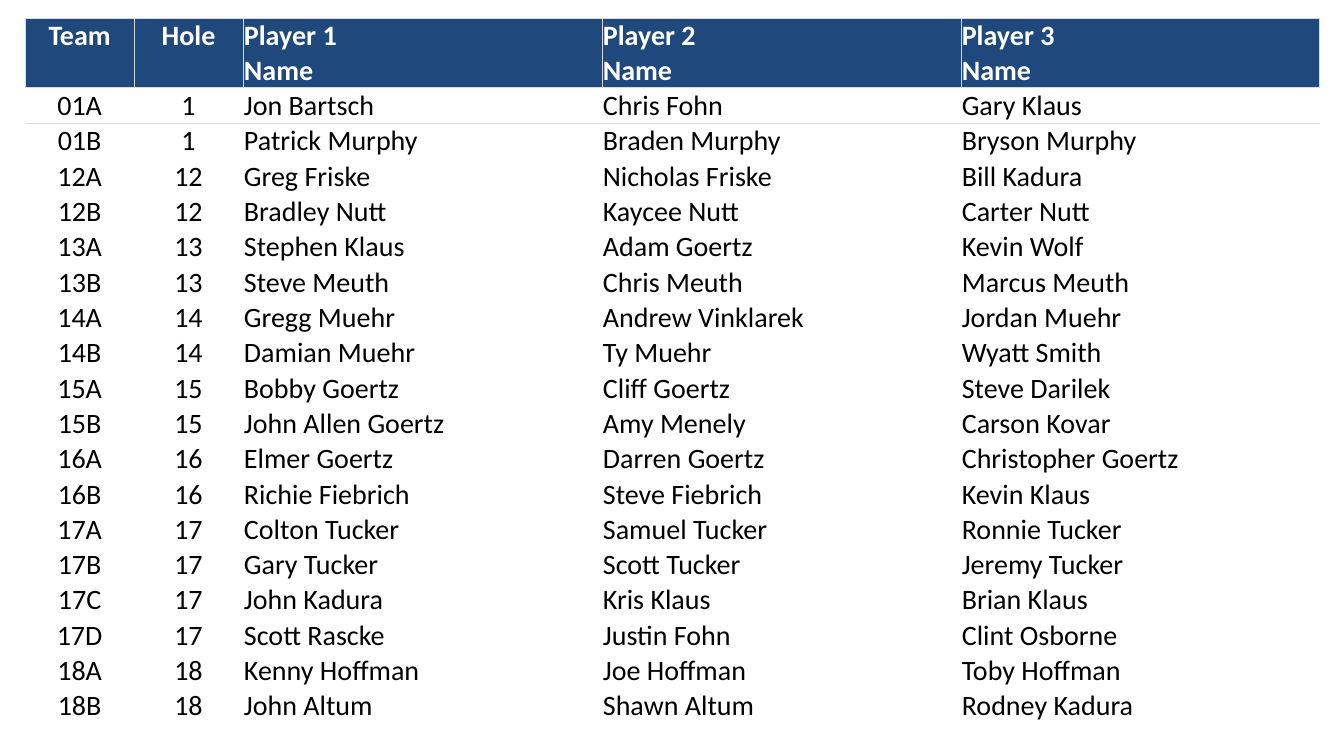
from dataclasses import dataclass

from lxml import etree
from pptx import Presentation
from pptx.dml.color import RGBColor
from pptx.enum.text import MSO_ANCHOR, PP_ALIGN
from pptx.oxml.ns import qn
from pptx.util import Inches, Pt

TOP, BOTTOM = MSO_ANCHOR.TOP, MSO_ANCHOR.BOTTOM
LEFT, CENTER = PP_ALIGN.LEFT, PP_ALIGN.CENTER
PLAIN_TABLE_STYLE = "{2D5ABB26-0587-4C30-8999-92F81FD0307C}"
ALL_SIDES = ("lnL", "lnR", "lnT", "lnB")
TOP_SIDE = ("lnT",)


@dataclass(frozen=True)
class Theme:
    font: str = "Calibri"
    size: int = 20
    header_fill: str = "1F497D"
    header_text: str = "FFFFFF"
    body_text: str = "000000"
    border: str = "D9D9D9"
    border_width: float = 0.5
    inset: float = 0.01


HEADINGS = ["Team", "Hole"] + [f"Player {number}\nName" for number in (1, 2, 3)]
TEAMS = [
    ("01A", "Jon Bartsch", "Chris Fohn", "Gary Klaus"),
    ("01B", "Patrick Murphy", "Braden Murphy", "Bryson Murphy"),
    ("12A", "Greg Friske", "Nicholas Friske", "Bill Kadura"),
    ("12B", "Bradley Nutt", "Kaycee Nutt", "Carter Nutt"),
    ("13A", "Stephen Klaus", "Adam Goertz", "Kevin Wolf"),
    ("13B", "Steve Meuth", "Chris Meuth", "Marcus Meuth"),
    ("14A", "Gregg Muehr", "Andrew Vinklarek", "Jordan Muehr"),
    ("14B", "Damian Muehr", "Ty Muehr", "Wyatt Smith"),
    ("15A", "Bobby Goertz", "Cliff Goertz", "Steve Darilek"),
    ("15B", "John Allen Goertz", "Amy Menely", "Carson Kovar"),
    ("16A", "Elmer Goertz", "Darren Goertz", "Christopher Goertz"),
    ("16B", "Richie Fiebrich", "Steve Fiebrich", "Kevin Klaus"),
    ("17A", "Colton Tucker", "Samuel Tucker", "Ronnie Tucker"),
    ("17B", "Gary Tucker", "Scott Tucker", "Jeremy Tucker"),
    ("17C", "John Kadura", "Kris Klaus", "Brian Klaus"),
    ("17D", "Scott Rascke", "Justin Fohn", "Clint Osborne"),
    ("18A", "Kenny Hoffman", "Joe Hoffman", "Toby Hoffman"),
    ("18B", "John Altum", "Shawn Altum", "Rodney Kadura"),
]
COLUMN_WIDTHS = [1.08] * 2 + [3.56] * 3
ROW_HEIGHTS = [0.69] + [0.35] * len(TEAMS)


class PageBuilder:
    def __init__(self, page, theme):
        self.page = page
        self.theme = theme

    def table(self, left, top, widths, heights, rows):
        frame = self.page.shapes.add_table(
            len(rows), len(widths), Inches(left), Inches(top),
            Inches(sum(widths)), Inches(sum(heights)))
        table = frame.table
        table.horz_banding = False
        table.first_row = False
        table._tbl.tblPr.find(qn("a:tableStyleId")).text = PLAIN_TABLE_STYLE
        for column, width in zip(table.columns, widths):
            column.width = Inches(width)
        for row, height in zip(table.rows, heights):
            row.height = Inches(height)
        for row_index, row in enumerate(rows):
            for column_index, text in enumerate(row):
                alignment = CENTER if column_index < 2 else LEFT
                self.cell(table.cell(row_index, column_index), text, alignment, row_index)

    def cell(self, cell, text, alignment, row_index):
        theme = self.theme
        header = row_index == 0
        cell.margin_left = cell.margin_right = cell.margin_top = Inches(theme.inset)
        cell.margin_bottom = 0
        cell.vertical_anchor = TOP if header else BOTTOM
        if header:
            self.borders(cell, ALL_SIDES)
            cell.fill.solid()
            cell.fill.fore_color.rgb = RGBColor.from_string(theme.header_fill)
        else:
            if row_index == 1:
                self.borders(cell, TOP_SIDE)
            cell.fill.background()
        para = cell.text_frame.paragraphs[0]
        para.alignment = alignment
        for line_index, line in enumerate(text.split("\n")):
            if line_index:
                para.add_line_break()
            span = para.add_run()
            span.text = line
            span.font.name = theme.font
            span.font.size = Pt(theme.size)
            span.font.bold = header
            color = theme.header_text if header else theme.body_text
            span.font.color.rgb = RGBColor.from_string(color)

    def borders(self, cell, sides):
        properties = cell._tc.get_or_add_tcPr()
        for side in sides:
            line = etree.SubElement(properties, qn(f"a:{side}"), w=str(Pt(self.theme.border_width)))
            fill = etree.SubElement(line, qn("a:solidFill"))
            etree.SubElement(fill, qn("a:srgbClr"), val=self.theme.border)


def main():
    deck = Presentation()
    deck.slide_width = Inches(13.33)
    deck.slide_height = Inches(7.5)
    page = deck.slides.add_slide(deck.slide_layouts[6])
    rows = [HEADINGS]
    for team, *players in TEAMS:
        hole = str(int(team[:2]))
        rows.append([team, hole, *players])
    PageBuilder(page, Theme()).table(0.25, 0.18, COLUMN_WIDTHS, ROW_HEIGHTS, rows)
    deck.save("out.pptx")


if __name__ == "__main__":
    main()
